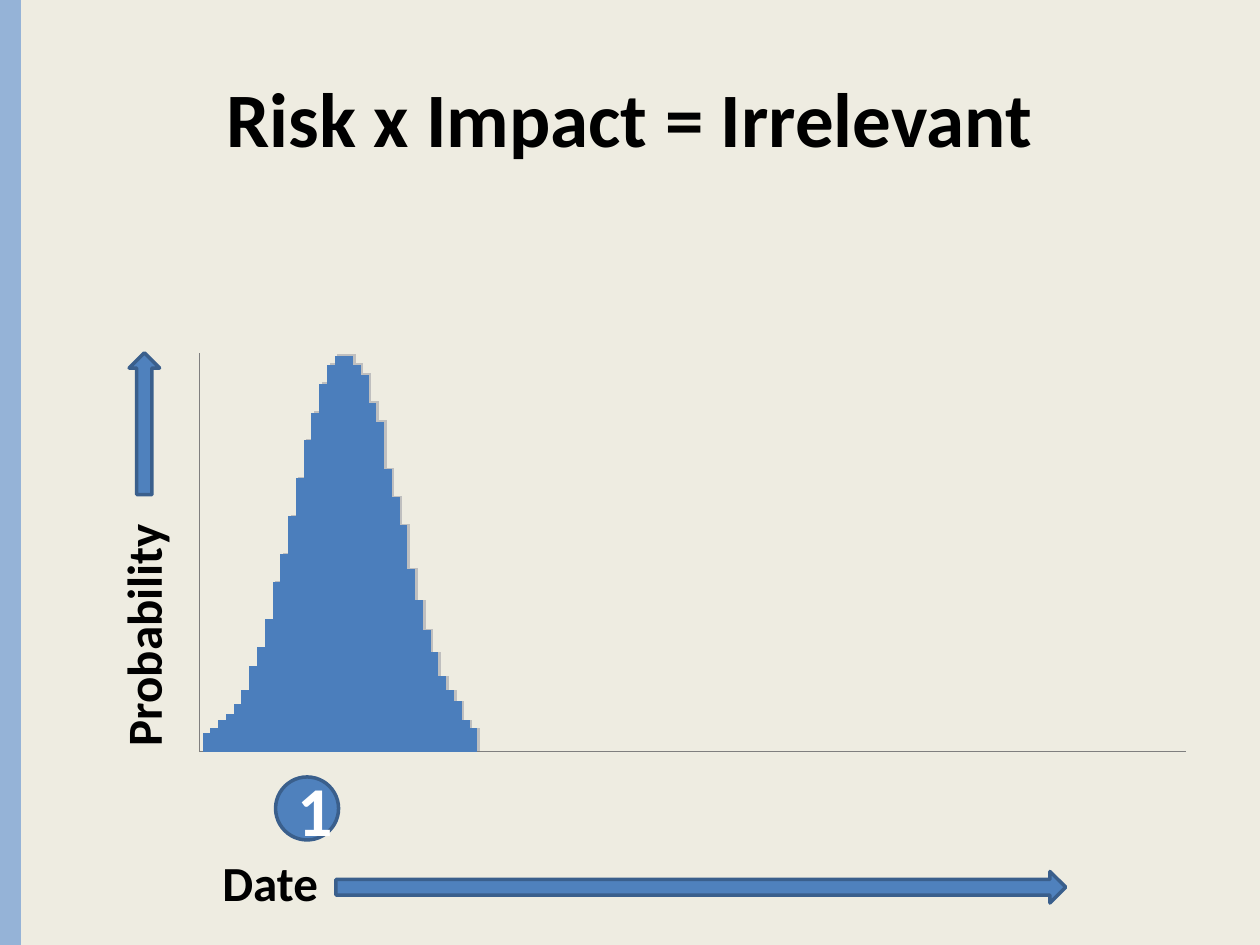
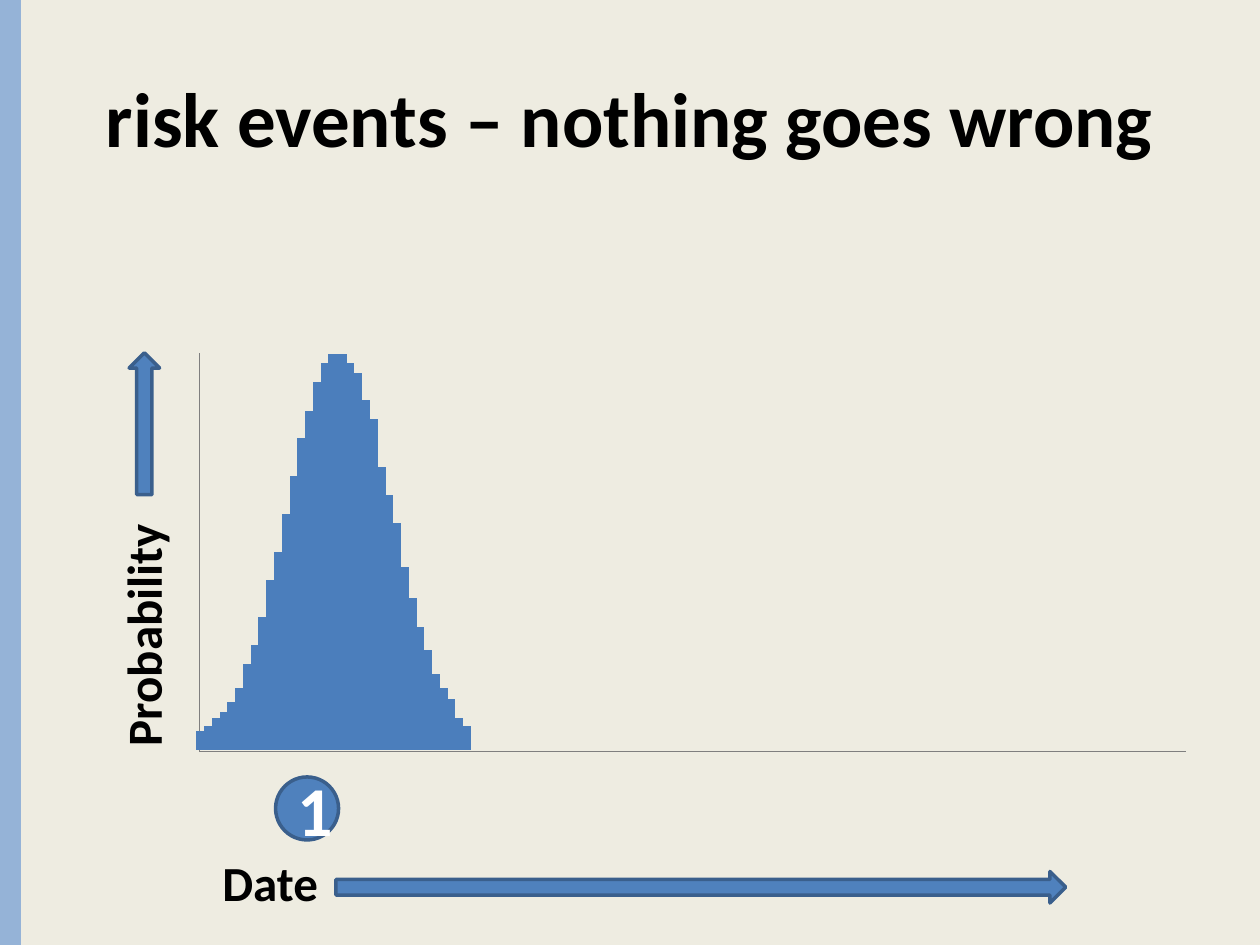
from dataclasses import dataclass

from lxml.etree import SubElement
from pptx import Presentation
from pptx.dml.color import RGBColor
from pptx.enum.shapes import MSO_CONNECTOR, MSO_SHAPE
from pptx.enum.text import MSO_ANCHOR, PP_ALIGN
from pptx.oxml.ns import qn
from pptx.util import Inches, Pt

COLUMNS, ROWS = 120, 90
CELL = Inches(10) / COLUMNS


@dataclass(frozen=True)
class Theme:
    font: str = "Calibri"
    background: str = "EEECE1"
    band: str = "95B3D7"
    ink: str = "000000"
    paper: str = "FFFFFF"
    accent: str = "4F81BD"
    outline: str = "3A5F8C"
    bar: str = "4B7EBC"
    bar_shadow: str = "BFBFBF"
    axis: str = "7F7F7F"
    title_size: int = 44
    number_size: int = 40
    label_size: int = 28
    outline_width: float = 2
    bar_width: float = 6
    axis_width: float = 0.75


@dataclass(frozen=True)
class Box:
    """An area in grid columns and rows."""
    left: float
    top: float
    width: float
    height: float

    @property
    def bottom(self):
        return self.top + self.height

    def inside(self, left, top, width, height):
        return Box(self.left + left, self.top + top, width, height)

    def emu(self):
        return [round(n * CELL) for n in (self.left, self.top, self.width, self.height)]


THEME = Theme()
SLIDE = Box(0, 0, COLUMNS, ROWS)
TITLE = SLIDE.inside(6, 3.6, 108, 15)
PLOT = SLIDE.inside(19, 33.6, 94, 38)

# Probability of each date, on a scale whose peak is 314
PROBABILITIES = [
    15, 19, 25, 30, 38, 49, 68, 83, 105, 135, 157, 187,
    217, 247, 269, 292, 307, 314, 314, 307, 299, 277, 262, 224,
    202, 180, 145, 120, 97, 79, 60, 49, 40, 25, 19,
]
DATE_STEP = 0.74


def rgb(colour):
    return RGBColor.from_string(colour)


def write(frame, text, size=THEME.label_size, colour=THEME.ink,
          align=PP_ALIGN.LEFT, anchor=MSO_ANCHOR.TOP):
    frame.word_wrap = True
    frame.vertical_anchor = anchor
    paragraph = frame.paragraphs[0]
    paragraph.text = text
    paragraph.alignment = align
    font = paragraph.runs[0].font
    font.name, font.size, font.bold = THEME.font, Pt(size), True
    font.color.rgb = rgb(colour)


def add_filled(slide, preset, box, fill=THEME.accent, outline=THEME.outline):
    shape = slide.shapes.add_shape(preset, *box.emu())
    shape.shadow.inherit = False
    shape.fill.solid()
    shape.fill.fore_color.rgb = rgb(fill)
    if outline:
        shape.line.color.rgb = rgb(outline)
        shape.line.width = Pt(THEME.outline_width)
    else:
        shape.line.fill.background()
    return shape


def add_line(shapes, start, end, colour, width):
    ends = [round(n * CELL) for n in (*start, *end)]
    line = shapes.add_connector(MSO_CONNECTOR.STRAIGHT, *ends)
    line.line.color.rgb = rgb(colour)
    line.line.width = Pt(width)
    SubElement(line._element.spPr, qn("a:effectLst"))


def add_label(slide, text, box, rotation=0):
    label = slide.shapes.add_textbox(*box.emu())
    label.rotation = rotation
    write(label.text_frame, text)


def style_master(master, slide):
    """Background and left band, shared by all slides."""
    master.background.fill.solid()
    master.background.fill.fore_color.rgb = rgb(THEME.background)
    band = add_filled(slide, MSO_SHAPE.RECTANGLE, SLIDE.inside(0, 0, 2, ROWS),
                      fill=THEME.band, outline=None)
    master.shapes.element.insert(2, band._element)


def place_title(slide, text, box):
    title = slide.shapes.title
    title.left, title.top, title.width, title.height = box.emu()
    write(title.text_frame, text, size=THEME.title_size,
          align=PP_ALIGN.CENTER, anchor=MSO_ANCHOR.MIDDLE)


def draw_distribution(slide, box, first_date, lift=0, peak=37.7, colour=THEME.bar):
    """A bell of touching bars standing on the date axis."""
    bell = slide.shapes.add_group_shape()
    base = box.bottom - lift
    for index, probability in enumerate(PROBABILITIES):
        date = box.left + first_date + index * DATE_STEP
        top = base - peak * probability / max(PROBABILITIES)
        add_line(bell.shapes, (date, base), (date, top), colour, THEME.bar_width)


def draw_axes(slide, box):
    origin = (box.left, box.bottom)
    for end in ((box.left, box.top), (box.left + box.width, box.bottom)):
        add_line(slide.shapes, origin, end, THEME.axis, THEME.axis_width)


def draw_axis_labels(slide, box):
    """Numbered date, then both axis names with their arrows."""
    marker = add_filled(slide, MSO_SHAPE.OVAL, box.inside(7.25, 40.4, 6, 6))
    write(marker.text_frame, "1", size=THEME.number_size, colour=THEME.paper,
          align=PP_ALIGN.CENTER, anchor=MSO_ANCHOR.MIDDLE)
    add_label(slide, "Date", box.inside(1, 47, 15.2, 6.9))
    add_filled(slide, MSO_SHAPE.RIGHT_ARROW, box.inside(13, 49.4, 69.5, 3))
    add_label(slide, "Probability", box.inside(-21, 19.6, 31.2, 6.9), rotation=270)
    upward = add_filled(slide, MSO_SHAPE.RIGHT_ARROW, box.inside(-12, 5.3, 13.5, 2.9))
    upward.rotation = 270


def build_risk_slide(slide, title, first_date, lift=0, shadowed=False):
    if shadowed:
        draw_distribution(slide, PLOT, first_date + 0.25, peak=37.9,
                          colour=THEME.bar_shadow)
    place_title(slide, title, TITLE)
    draw_axes(slide, PLOT)
    draw_distribution(slide, PLOT, first_date, lift=lift)
    draw_axis_labels(slide, PLOT)


def main():
    deck = Presentation()
    deck.slide_width, deck.slide_height = Inches(10), Inches(7.5)
    title_only = deck.slide_layouts.get_by_name("Title Only")
    impact, events = (deck.slides.add_slide(title_only) for _ in range(2))
    style_master(deck.slide_master, impact)
    build_risk_slide(impact, "Risk x Impact = Irrelevant", first_date=0.8, shadowed=True)
    build_risk_slide(events, "risk events – nothing goes wrong", first_date=0.2, lift=0.2)
    deck.save("out.pptx")


if __name__ == "__main__":
    main()
